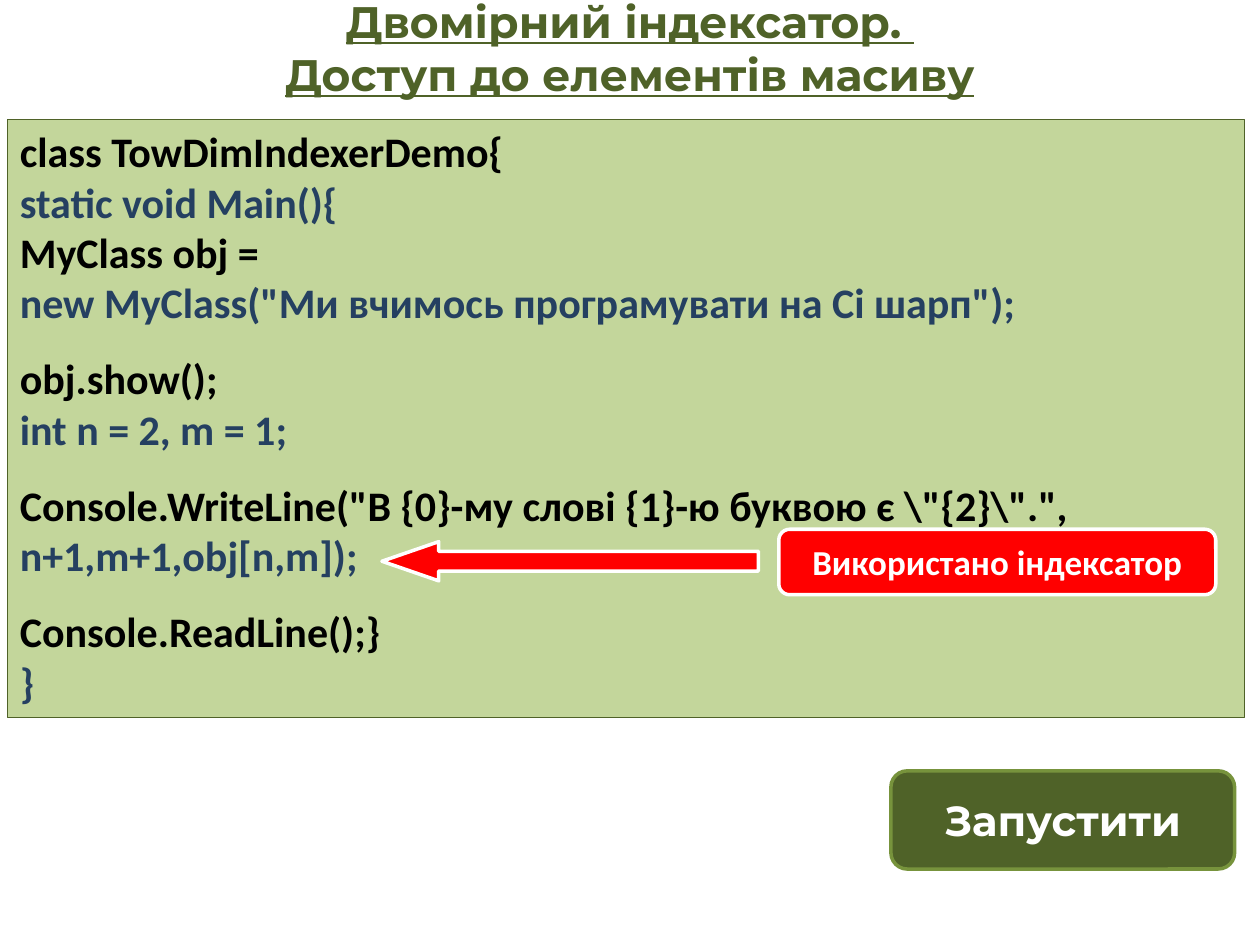
"""Builds a slide on reading array elements through a two-dimensional indexer."""
import pptx
import pptx.util
import pptx.dml.color
import pptx.enum.shapes
import pptx.enum.text
from dataclasses import dataclass

Cm, Pt = pptx.util.Cm, pptx.util.Pt
Kind = pptx.enum.shapes.MSO_SHAPE
Align = pptx.enum.text.PP_ALIGN
Anchor = pptx.enum.text.MSO_ANCHOR


@dataclass(frozen=True)
class Theme:
    dark: str = "4F6228"
    mid: str = "77933C"
    pale: str = "C3D69B"
    red: str = "FF0000"
    white: str = "FFFFFF"
    black: str = "000000"
    blue: str = "254061"
    head: str = "Montserrat"
    body: str = "Calibri"
    title: float = 25.2
    code: float = 24
    note: float = 20
    gap: float = 14.65
    thin: float = 0.75
    thick: float = 2


look = Theme()

TITLE = "Двомірний індексатор. \vДоступ до елементів масиву"
CODE = [
    ["class TowDimIndexerDemo{", "static void Main(){", "MyClass obj = ",
     'new MyClass("Ми вчимось програмувати на Сi шарп");'],
    ["obj.show();", "int n = 2, m = 1;"],
    ['Console.WriteLine("В {0}-му словi {1}-ю буквою є \\"{2}\\".",',
     "n+1,m+1,obj[n,m]);"],
    ["Console.ReadLine();}", "}"],
]
NOTE = "Використано індексатор"
RUN = "Запустити"


def tint(code):
    return pptx.dml.color.RGBColor.from_string(code)


def style(par, size, face, color, line=None):
    for run in par.runs:
        font = run.font
        font.size, font.name, font.bold = Pt(size), face, True
        font.underline = line
        font.color.rgb = tint(color)


def shape(kind, box, fill, edge, width):
    item = slide.shapes.add_shape(kind, *map(Cm, box))
    item.shadow.inherit = False
    item.fill.solid()
    item.fill.fore_color.rgb = tint(fill)
    item.line.color.rgb = tint(edge)
    item.line.width = Pt(width)
    return item


def label(item, text, size, face, color, line=None):
    frame = item.text_frame
    frame.word_wrap = True
    frame.vertical_anchor = Anchor.MIDDLE
    frame.text = text
    par = frame.paragraphs[0]
    par.alignment = Align.CENTER
    style(par, size, face, color, line)


deck = pptx.Presentation()
deck.slide_width, deck.slide_height = Cm(25.4), Cm(19.05)
slide = deck.slides.add_slide(deck.slide_layouts[6])

title = slide.shapes.add_textbox(0, 0, deck.slide_width, Cm(1.93))
label(title, TITLE, look.title, look.head, look.dark, True)

panel = shape(Kind.RECTANGLE, (0.15, 2.41, 24.94, 12.06),
              look.pale, look.dark, look.thin)
frame = panel.text_frame
frame.word_wrap = True
frame.vertical_anchor = Anchor.TOP
frame.text = "\n".join(row for block in CODE for row in block)
starts = {sum(map(len, CODE[:n])) for n in range(1, len(CODE))}
for n, par in enumerate(frame.paragraphs):
    par.alignment = Align.LEFT
    par.space_before = Pt(look.gap if n in starts else 0)
    style(par, look.code, look.body, (look.black, look.blue)[n % 2])

arrow = shape(Kind.LEFT_ARROW, (7.7, 10.92, 7.59, 0.79),
              look.red, look.white, look.thick)
arrow.adjustments[0], arrow.adjustments[1] = 0.5, 1.45

note = shape(Kind.ROUNDED_RECTANGLE, (15.7, 10.67, 8.81, 1.32),
             look.red, look.white, look.thick)
label(note, NOTE, look.note, look.body, look.white)

button = shape(Kind.ROUNDED_RECTANGLE, (17.96, 15.54, 6.93, 1.98),
               look.dark, look.mid, look.thick)
label(button, RUN, look.code, look.head, look.white)

deck.save("out.pptx")
